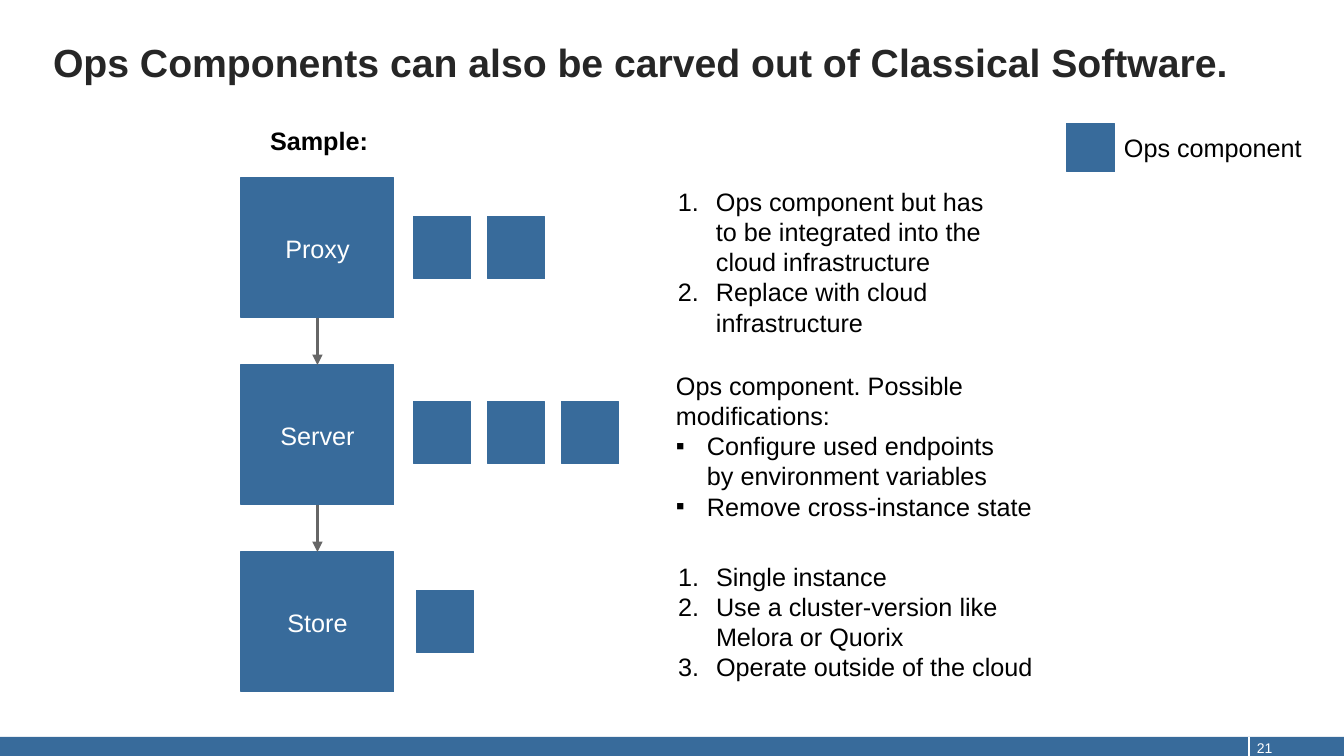
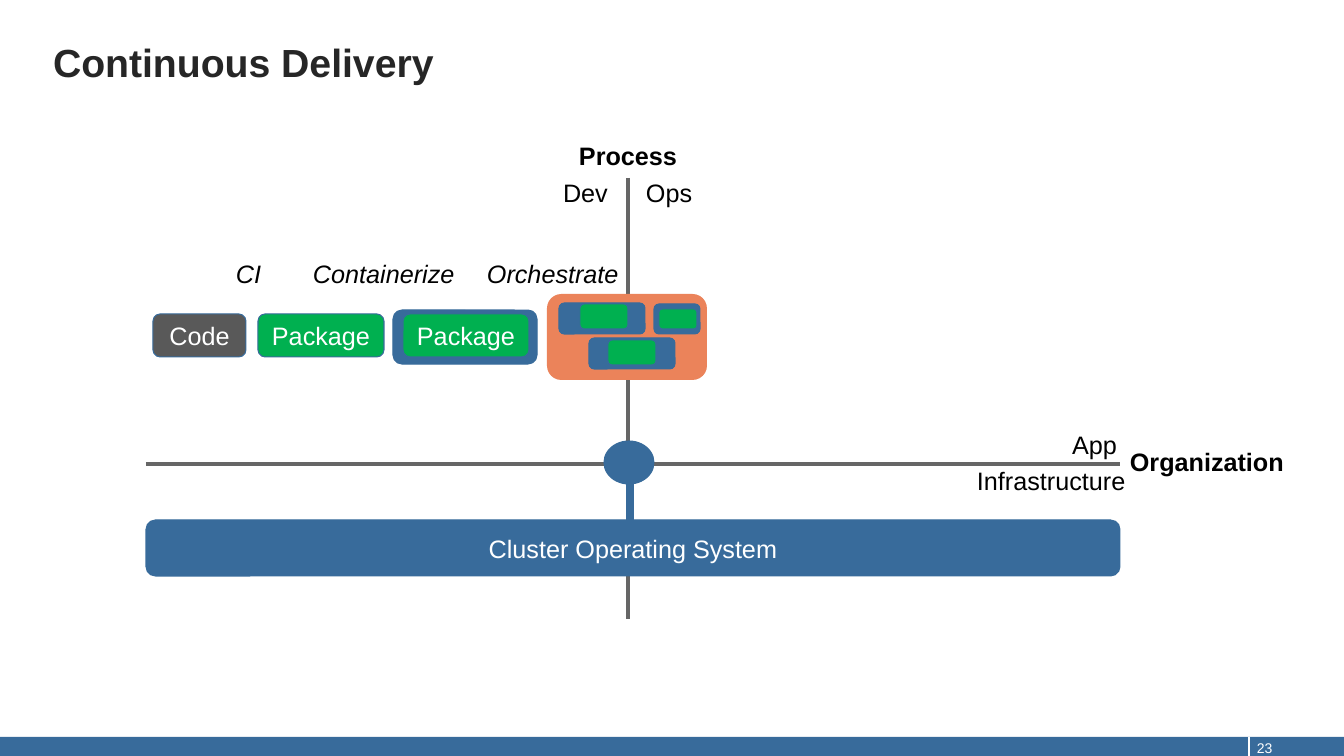
from lxml.etree import SubElement
from pptx import Presentation
from pptx.dml.color import RGBColor
from pptx.enum.shapes import MSO_CONNECTOR, MSO_SHAPE as Shape
from pptx.enum.text import MSO_ANCHOR as Anchor, MSO_AUTO_SIZE as AutoSize, PP_ALIGN as Align
from pptx.oxml.ns import qn
from pptx.util import Emu, Pt

SLIDE_WIDTH, SLIDE_HEIGHT = 1344, 756
EMU_PER_PX = 12192000 / SLIDE_WIDTH
FONT = "Arial"
BLUE, GREEN, ORANGE, DARK_GREY = "386B9B", "00B050", "EB835A", "595959"
LINE_GREY, TITLE_INK, BLACK, WHITE = "666666", "262626", "000000", "FFFFFF"
NUMBER_INDENT, BULLET_INDENT = 38, 31


def px(length):
    return Emu(round(length * EMU_PER_PX))


def color(hex_string):
    return RGBColor.from_string(hex_string)


def set_bullet(paragraph, kind):
    """Give the paragraph a hanging indent with a number or a square bullet."""
    indent = NUMBER_INDENT if kind == "number" else BULLET_INDENT
    properties = paragraph._p.get_or_add_pPr()
    properties.set("marL", str(px(indent)))
    properties.set("indent", str(-px(indent)))
    SubElement(properties, qn("a:buFont"), typeface=FONT)
    if kind == "number":
        SubElement(properties, qn("a:buAutoNum"), type="arabicPeriod")
    else:
        SubElement(properties, qn("a:buChar"), char="▪")


def write_text(frame, text, size=18, ink=BLACK, bold=False, italic=False,
               align=Align.LEFT, anchor=Anchor.TOP, spacing=None, bullets=()):
    """Write one paragraph per line; a vertical tab breaks a line inside one."""
    frame.vertical_anchor = anchor
    for index, line in enumerate(text.split("\n")):
        paragraph = frame.add_paragraph() if index else frame.paragraphs[0]
        paragraph.text = line
        paragraph.alignment = align
        if spacing:
            paragraph.line_spacing = Pt(spacing)
        if index < len(bullets) and bullets[index]:
            set_bullet(paragraph, bullets[index])
        for run in paragraph.runs:
            font = run.font
            font.name, font.size = FONT, Pt(size)
            font.bold, font.italic = bold, italic
            font.color.rgb = color(ink)


def add_text(slide, box, text, wrap=False, side_inset=10, **text_format):
    text_box = slide.shapes.add_textbox(*map(px, box))
    frame = text_box.text_frame
    frame.word_wrap = wrap
    frame.auto_size = AutoSize.NONE if wrap else AutoSize.SHAPE_TO_FIT_TEXT
    frame.margin_left = frame.margin_right = px(side_inset)
    write_text(frame, text, **text_format)


def add_block(slide, box, text="", kind=Shape.RECTANGLE, fill=BLUE, outline=BLUE):
    shape = slide.shapes.add_shape(kind, *map(px, box))
    shape.shadow.inherit = False
    shape.fill.solid()
    shape.fill.fore_color.rgb = color(fill)
    if outline:
        shape.line.color.rgb = color(outline)
        shape.line.width = Pt(0.75)
    else:
        shape.line.fill.background()
    if text:
        write_text(shape.text_frame, text, ink=WHITE, align=Align.CENTER,
                   anchor=Anchor.MIDDLE)
    return shape


def add_line(slide, start=(0, 0), end=(0, 0), ink=LINE_GREY, width=2.5,
             joins=None, arrow=False):
    """Draw from start to end, or from the bottom of one shape to the top of the next."""
    connector = slide.shapes.add_connector(
        MSO_CONNECTOR.STRAIGHT, *map(px, (*start, *end)))
    if joins:
        upper, lower = joins
        connector.begin_connect(upper, 2)
        connector.end_connect(lower, 0)
    connector.line.color.rgb = color(ink)
    connector.line.width = Pt(width)
    properties = connector.element.spPr
    if arrow:
        SubElement(properties.find(qn("a:ln")), qn("a:tailEnd"), type="triangle")
    SubElement(properties, qn("a:effectLst"))


def add_base_slide(presentation, title, number):
    """Add a slide with the shared title, footer band and page number."""
    slide = presentation.slides.add_slide(presentation.slide_layouts[6])
    band_top, divider = 737, 1249
    add_block(slide, (0, band_top, SLIDE_WIDTH, SLIDE_HEIGHT - band_top), outline=None)
    add_line(slide, (divider, band_top), (divider, SLIDE_HEIGHT), ink=WHITE, width=1)
    add_text(slide, (43, 38, 1231, 110), title, wrap=True, size=28,
             ink=TITLE_INK, bold=True, spacing=30)
    add_text(slide, (divider + 8, 721, 79, 40), str(number), wrap=True,
             side_inset=0, size=10, ink=WHITE, anchor=Anchor.BOTTOM)
    return slide


def add_legend(slide, left, top):
    add_block(slide, (left, top, 48, 48))
    add_text(slide, (left + 47, top + 3, 200, 40), "Ops component")


def add_stack(slide, left, top, layers):
    """Stack the software boxes, each with its row of component squares."""
    width, height, pitch = 153, 140, 187
    square_width, square_height, square_pitch = 57, 62, 74
    add_text(slide, (left + 19, top - 58, 119, 40), "Sample:", bold=True)
    boxes = []
    for index, (name, count, shift_x, shift_y) in enumerate(layers):
        layer_top = top + index * pitch
        boxes.append(add_block(slide, (left, layer_top, width, height), name))
        for column in range(count):
            add_block(slide, (left + shift_x + column * square_pitch,
                              layer_top + shift_y, square_width, square_height))
    for pair in zip(boxes, boxes[1:]):
        add_line(slide, joins=pair, arrow=True)


def build_components_slide(presentation):
    slide = add_base_slide(
        presentation, "Ops Components can also be carved out of Classical Software.", 21)
    add_legend(slide, 1067, 124)
    add_stack(slide, 241, 178, [
        ("Proxy", 2, 173, 39), ("Server", 3, 173, 37), ("Store", 1, 176, 39)])
    notes = [
        ((668, 181, 329, 163),
         "Ops component but has\vto be integrated into the\vcloud infrastructure\n"
         "Replace with cloud\vinfrastructure",
         ("number",) * 2),
        ((666, 365, 380, 163),
         "Ops component. Possible\vmodifications:\n"
         "Configure used endpoints\vby environment variables\n"
         "Remove cross-instance state",
         (None, "square", "square")),
        ((668, 556, 378, 132),
         "Single instance\nUse a cluster-version like\vMelora or Quorix\n"
         "Operate outside of the cloud",
         ("number",) * 3),
    ]
    for box, text, bullets in notes:
        add_text(slide, box, text, bullets=bullets)


def add_axes(slide, left, top, width, height):
    """Draw the process and organization axes with their labels."""
    center, middle = left + 482, top + 286
    right = left + width
    add_line(slide, (left, middle), (right, middle))
    add_line(slide, (center, top), (center, top + height))
    for box, text, bold in [
        ((right - 58, middle - 40, 66, 40), "App", False),
        ((right - 153, middle - 4, 170, 40), "Infrastructure", False),
        ((right, middle - 23, 175, 40), "Organization", True),
        ((center - 75, top - 6, 66, 40), "Dev", False),
        ((center + 8, top - 6, 67, 40), "Ops", False),
        ((center - 59, top - 43, 119, 40), "Process", True),
    ]:
        add_text(slide, box, text, bold=bold)


def add_cluster(slide, left, top, width, height):
    """Draw the cluster bar and the knob that rises from it to the crossing."""
    add_block(slide, (left, top, width, height), "Cluster Operating System",
              Shape.ROUNDED_RECTANGLE)
    add_block(slide, (left + 458, top - 79, 50, 43), kind=Shape.OVAL)
    add_block(slide, (left + 481, top - 77, 7, 77))


def add_pipeline(slide, left, top):
    """Draw code, package, container and orchestration under their step names."""
    parts = [
        ((0, 0, 93, 43), "Code", DARK_GREY),
        ((105, 0, 126, 43), "Package", GREEN),
        ((240, -4, 144, 54), "", BLUE),
        ((250, 0, 126, 43), "Package", GREEN),
        ((394, -20, 160, 86), "", ORANGE),
        ((406, -11, 86, 31), "", BLUE),
        ((436, 24, 86, 31), "", BLUE),
        ((501, -10, 46, 30), "", BLUE),
        ((427, -10, 48, 25), "", GREEN),
        ((455, 26, 48, 25), "", GREEN),
        ((506, -5, 38, 20), "", GREEN),
    ]
    for (x, y, width, height), text, fill in parts:
        add_block(slide, (left + x, top + y, width, height), text,
                  Shape.ROUNDED_RECTANGLE, fill, None if fill == ORANGE else BLUE)
    for x, width, step in [(73, 50, "CI"), (150, 165, "Containerize"),
                           (324, 155, "Orchestrate")]:
        add_text(slide, (left + x, top - 61, width, 40), step, italic=True)


def build_delivery_slide(presentation):
    slide = add_base_slide(presentation, "Continuous Delivery", 23)
    add_axes(slide, 146, 178, 974, 441)
    add_cluster(slide, 146, 520, 974, 56)
    add_pipeline(slide, 153, 314)


def main():
    presentation = Presentation()
    presentation.slide_width = px(SLIDE_WIDTH)
    presentation.slide_height = px(SLIDE_HEIGHT)
    build_components_slide(presentation)
    build_delivery_slide(presentation)
    presentation.save("out.pptx")


if __name__ == "__main__":
    main()
